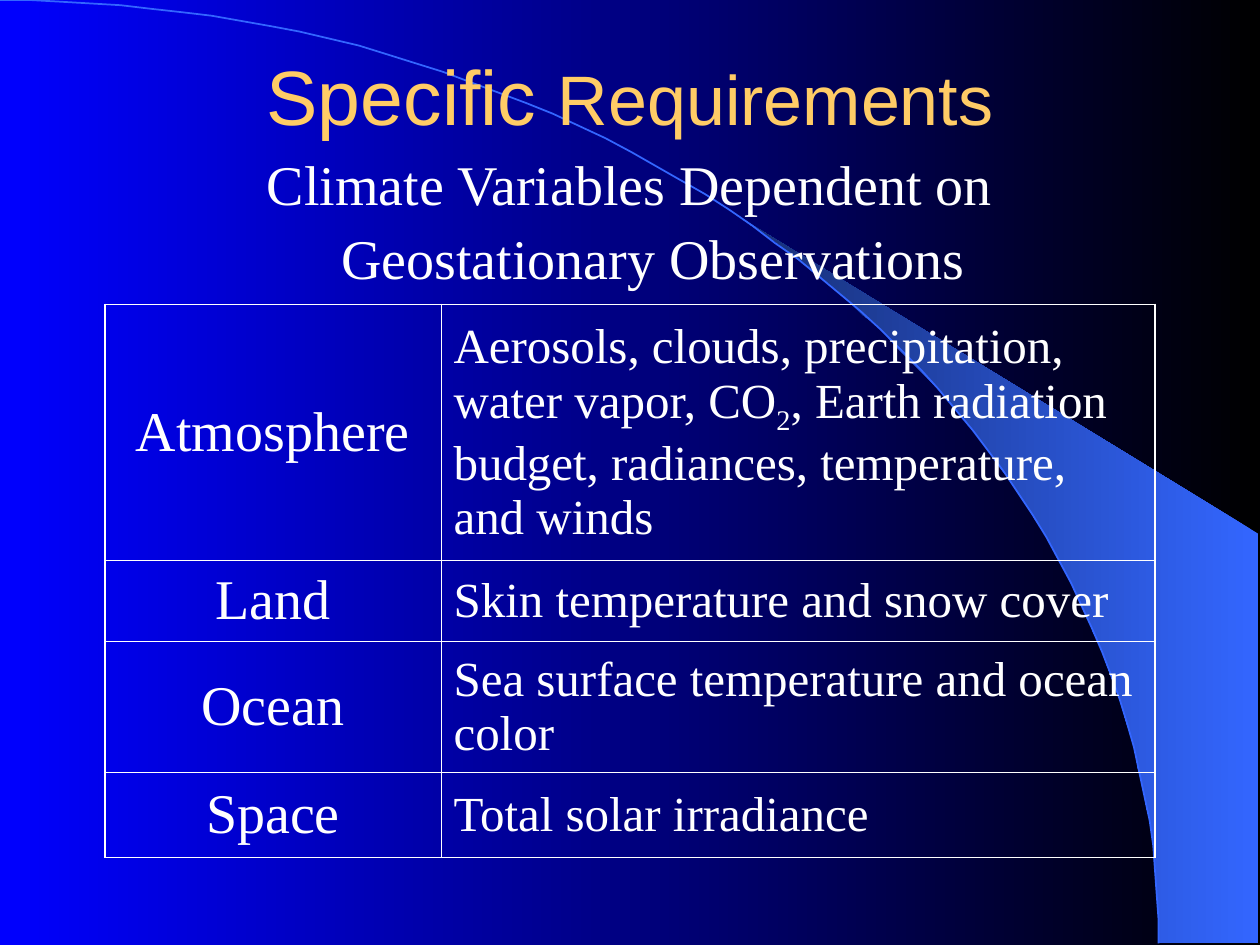
import math

import pptx
import pptx.dml.color
import pptx.enum.text
import pptx.oxml
import pptx.oxml.ns
import pptx.util

Pt = pptx.util.Pt
ALIGN = pptx.enum.text.PP_ALIGN
ANCHOR = pptx.enum.text.MSO_ANCHOR

WHITE, GOLD, SKY = "FFFFFF", "FFCC66", "3366FF"
SERIF, SANS = "Times New Roman", "Arial"
OUTER_LINE, INNER_LINE = 1.08, 0.45

REQUIREMENTS = [
    ("Atmosphere", ["Aerosols, clouds, precipitation, water vapor, CO", "2",
                    ", Earth radiation budget, radiances, temperature, and winds"]),
    ("Land", ["Skin temperature and snow cover"]),
    ("Ocean", ["Sea surface temperature and ocean color"]),
    ("Space", ["Total solar irradiance"]),
]
COLUMN_WIDTHS = [192, 408]
ROW_HEIGHTS = [146.3, 46.2, 74.6, 49]


def color(hex_string):
    return pptx.dml.color.RGBColor.from_string(hex_string)


def set_format(target, values):
    for name, value in values.items():
        setattr(target, name, value)


def fill_gradient(fill, right, left):
    """Blend from the right edge to the left edge."""
    fill.gradient()
    fill.gradient_angle = 180
    for stop, hex_string in zip(fill.gradient_stops, (right, left)):
        stop.color.rgb = color(hex_string)


def add_run(paragraph, text, size, font=SERIF, hex_string=WHITE):
    run = paragraph.add_run()
    run.text = text
    set_format(run.font, {"name": font, "size": Pt(size)})
    run.font.color.rgb = color(hex_string)
    return run


def add_text_box(slide, box, anchor):
    frame = slide.shapes.add_textbox(*map(Pt, box)).text_frame
    set_format(frame, {"word_wrap": True, "vertical_anchor": anchor})
    paragraph = frame.paragraphs[0]
    paragraph.alignment = ALIGN.CENTER
    return paragraph


def add_outline(slide, points, close):
    builder = slide.shapes.build_freeform(*points[0], scale=Pt(1))
    builder.add_line_segments(points[1:], close=close)
    shape = builder.convert_to_shape()
    shape.shadow.inherit = False
    return shape


def add_backdrop(slide, box):
    """Quarter ellipse with a light band between it and the right edge."""
    left, top, width, height = box
    radius = 662.4

    def curve(start, steps=60):
        angles = [start + (math.pi / 2 - start) * i / steps for i in range(steps + 1)]
        return [(left + radius * math.sin(a), top + height * (1 - math.cos(a)))
                for a in angles]

    # Band
    right, bottom = left + width, top + height
    edge = curve(math.asin(0.64))
    band = add_outline(slide, edge + [(right, bottom), (right, top + 304.6)], True)
    fill_gradient(band.fill, SKY, "172F75")
    band.line.fill.background()

    # Arc
    arc = add_outline(slide, curve(0), False)
    arc.fill.background()
    arc.line.color.rgb = color(SKY)
    arc.line.width = Pt(1)


def add_title(slide, box):
    paragraph = add_text_box(slide, box, ANCHOR.MIDDLE)
    add_run(paragraph, "Specific ", 44, SANS, GOLD)
    add_run(paragraph, "Requirements", 40, SANS, GOLD)


def add_subtitle(slide, box):
    paragraph = add_text_box(slide, box, ANCHOR.TOP)
    properties = paragraph._p.get_or_add_pPr()
    properties.set("marL", str(Pt(27)))
    properties.set("indent", str(-Pt(27)))
    paragraph.line_spacing = 1.1
    add_run(paragraph, "Climate Variables Dependent on Geostationary Observations", 32)


def set_borders(cell, widths):
    properties = cell._tc.get_or_add_tcPr()
    for side, width in widths.items():
        properties.append(pptx.oxml.parse_xml(
            f'<a:ln{side} {pptx.oxml.ns.nsdecls("a")} w="{Pt(width)}">'
            f'<a:solidFill><a:srgbClr val="{WHITE}"/></a:solidFill></a:ln{side}>'))


def add_requirements_table(slide, box):
    row_count, column_count = len(ROW_HEIGHTS), len(COLUMN_WIDTHS)
    table = slide.shapes.add_table(row_count, column_count, *map(Pt, box)).table
    set_format(table, {"first_row": False, "horz_banding": False})
    for column, width in zip(table.columns, COLUMN_WIDTHS):
        column.width = Pt(width)
    for row, height in zip(table.rows, ROW_HEIGHTS):
        row.height = Pt(height)

    for i, (domain, variables) in enumerate(REQUIREMENTS):
        for j, parts in enumerate(([domain], variables)):
            cell = table.cell(i, j)
            cell.vertical_anchor = ANCHOR.MIDDLE
            on_edge = {"L": j == 0, "R": j == column_count - 1,
                       "T": i == 0, "B": i == row_count - 1}
            set_borders(cell, {side: OUTER_LINE if outer else INNER_LINE
                               for side, outer in on_edge.items()})
            cell.fill.background()
            paragraph = cell.text_frame.paragraphs[0]
            paragraph.alignment = ALIGN.LEFT if j else ALIGN.CENTER
            for k, part in enumerate(parts):
                run = add_run(paragraph, part, 28 if j else 32)
                if k == 1:  # subscript
                    run._r.get_or_add_rPr().set("baseline", "-25000")


def main():
    presentation = pptx.Presentation()
    set_format(presentation, {"slide_width": Pt(720), "slide_height": Pt(540)})
    slide = presentation.slides.add_slide(presentation.slide_layouts[6])
    fill_gradient(slide.background.fill, "000000", "0000FF")

    add_backdrop(slide, (0, 0, 719.3, 539.3))
    add_title(slide, (54, 18, 612, 72))
    add_subtitle(slide, (54, 78, 612, 372))
    add_requirements_table(slide, (60, 174, sum(COLUMN_WIDTHS), sum(ROW_HEIGHTS)))
    presentation.save("out.pptx")


if __name__ == "__main__":
    main()
